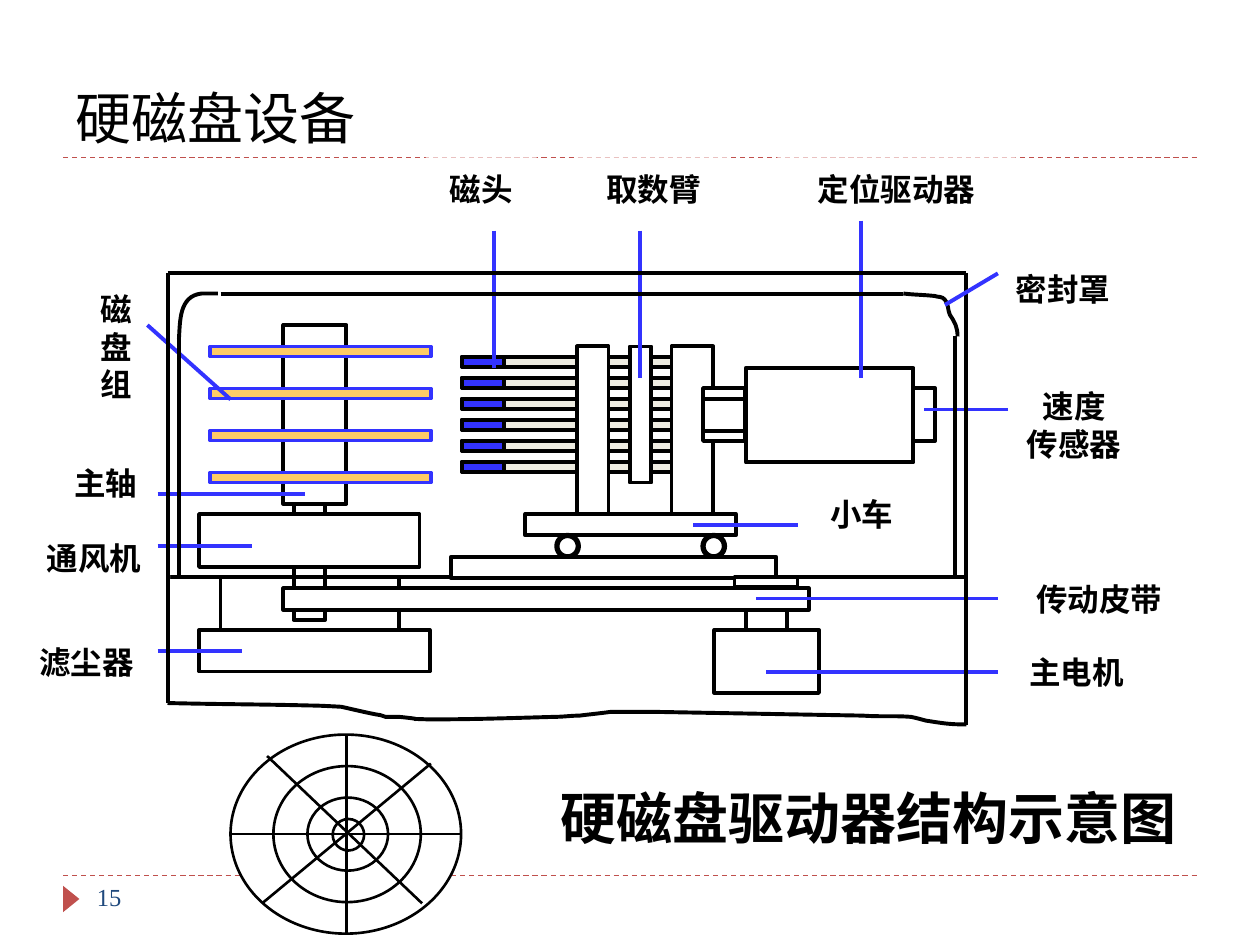
import pptx
import pptx.util
from pptx.dml.color import RGBColor
from pptx.enum.dml import MSO_LINE
from pptx.enum.shapes import MSO_CONNECTOR, MSO_SHAPE
from pptx.enum.text import MSO_ANCHOR, MSO_AUTO_SIZE, PP_ALIGN
from pptx.oxml import parse_xml
from pptx.oxml.ns import nsdecls, qn

BLACK = RGBColor(0x00, 0x00, 0x00)
WHITE = RGBColor(0xFF, 0xFF, 0xFF)
BLUE = RGBColor(0x33, 0x33, 0xFF)
GOLD = RGBColor(0xFF, 0xCC, 0x66)
CREAM = RGBColor(0xEE, 0xEC, 0xE1)
RED = RGBColor(0xC0, 0x50, 0x4D)
NAVY = RGBColor(0x1F, 0x49, 0x7D)

# All positions are in inches: boxes are (left, top, width, height),
# lines are (x1, y1, x2, y2).
TITLE = ("硬磁盘设备", (0.5, 0.17, 9, 1.08))
CAPTION = ("硬磁盘驱动器结构示意图", (4.34, 6.17, 5.11, 0.63))
SLIDE_NUMBER = ("15", (0.67, 6.95, 2.17, 0.4))
RULES = [(0.5, 6.95, 9.5, 6.95), (0.5, 1.25, 9.5, 1.25)]
MARKER = (0.46, 7.07, 0.21, 0.13)

LABELS = [
    ("磁头", (3.38, 1.25, 0.88, 0.5)),
    ("磁\n盘\n组", (0.65, 2.1, 0.54, 1.3)),
    ("主轴", (0.4, 3.58, 0.88, 0.5)),
    ("通风机", (0.14, 4.18, 1.21, 0.5)),
    ("取数臂", (4.58, 1.25, 1.21, 0.5)),
    ("定位驱动器", (6.17, 1.25, 1.89, 0.5)),
    ("速度\n传感器", (7.92, 2.92, 1.21, 0.9)),
    ("小车", (6.4, 3.83, 0.88, 0.5)),
    ("主电机", (7.92, 5.08, 1.25, 0.5)),
    ("传动皮带", (7.95, 4.5, 1.55, 0.5)),
    ("滤尘器", (0.08, 5, 1.21, 0.5)),
    ("密封罩", (7.83, 2.04, 1.21, 0.5)),
]
LEADERS = [
    (3.92, 1.83, 3.92, 2.92), (1.17, 2.58, 1.83, 3.17),
    (1.25, 3.92, 2.42, 3.92), (1.25, 4.33, 2, 4.33),
    (5.08, 1.83, 5.08, 3), (6.83, 1.75, 6.83, 3),
    (8, 3.25, 7.33, 3.25), (5.5, 4.17, 6.33, 4.17),
    (6, 4.75, 7.92, 4.75), (6.08, 5.33, 7.92, 5.33),
    (1.25, 5.17, 1.92, 5.17),
]
COVER_LEADER = (7.92, 2.17, 7.5, 2.42)

SPINDLE = (2.25, 2.58, 0.5, 1.42)
PLATTERS = [(1.67, 2.75 + row / 3, 1.75, 0.08) for row in range(4)]
ARMS = [(3.67, 2.83 + row / 6, 1.83, 0.08) for row in range(6)]
HEADS = [(left, top, 0.33, height) for left, top, _, height in ARMS]
FILTER_POSTS = [(3.17, 4.58, 3.17, 5), (1.75, 4.58, 1.75, 5)]
DRIVE_TRAIN = [
    (2.33, 4, 0.25, 0.92),      # spindle shaft
    (1.58, 4.08, 1.75, 0.42),   # fan
    (1.58, 5, 1.83, 0.33),      # filter
    (5.67, 5, 0.83, 0.5),       # motor
    (5.92, 4.75, 0.33, 0.25),   # motor shaft
    (2.25, 4.67, 4.17, 0.17),   # belt
]
DECK = (1.33, 4.58, 7.67, 4.58)
CART = (4.17, 4.08, 1.67, 0.17)
WHEELS = [(left, 4.25, 0.17, 0.17) for left in (4.42, 5.58)]
POSITIONER = [
    (4.58, 2.75, 0.25, 1.33),   # front upright
    (5.33, 2.75, 0.33, 1.33),   # rear upright
    (5.58, 3.08, 0.33, 0.42),   # coupling
    (5.92, 2.92, 1.33, 0.75),   # positioning drive
    (7.25, 3.08, 0.17, 0.42),   # speed sensor
    (5, 2.75, 0.17, 1.08),      # access arm
    (3.58, 4.42, 2.58, 0.17),   # rail
    (5.83, 4.58, 0.5, 0.08),    # pulley
]
CASE_LINES = [
    (1.42, 2.67, 1.42, 4.58), (7.58, 2.67, 7.58, 4.58), (1.75, 2.33, 7.17, 2.33),
    (1.33, 2.17, 1.33, 5.58), (1.33, 2.17, 7.67, 2.17), (7.67, 2.17, 7.67, 5.75),
    (5.58, 3.17, 5.92, 3.17), (5.58, 3.42, 5.92, 3.42),
]
# Each curve is a start point followed by triples of Bezier points.
CASE_CURVES = [
    [(1.42, 2.69), (1.43, 2.55), (1.42, 2.35), (1.6, 2.33),
     (1.65, 2.33), (1.69, 2.33), (1.73, 2.33)],
    [(7.17, 2.33), (7.25, 2.34), (7.33, 2.34), (7.42, 2.35),
     (7.44, 2.36), (7.48, 2.35), (7.5, 2.38),
     (7.53, 2.41), (7.52, 2.46), (7.54, 2.5),
     (7.58, 2.56), (7.6, 2.6), (7.6, 2.67)],
    [(1.33, 5.58), (1.71, 5.59), (2.08, 5.59), (2.46, 5.6),
     (2.54, 5.6), (2.71, 5.61), (2.71, 5.61),
     (2.8, 5.63), (2.88, 5.65), (2.98, 5.67),
     (3.01, 5.67), (3.03, 5.68), (3.06, 5.69),
     (3.1, 5.69), (3.13, 5.69), (3.17, 5.69),
     (3.46, 5.72), (3.14, 5.7), (3.4, 5.71),
     (3.77, 5.71), (4.04, 5.7), (4.4, 5.69),
     (4.47, 5.69), (4.53, 5.68), (4.6, 5.68),
     (4.68, 5.67), (4.78, 5.66), (4.85, 5.65),
     (4.96, 5.65), (5.06, 5.65), (5.17, 5.65),
     (5.73, 5.66), (6.28, 5.67), (6.85, 5.68),
     (6.98, 5.69), (7.11, 5.68), (7.23, 5.69),
     (7.28, 5.7), (7.31, 5.71), (7.35, 5.72),
     (7.48, 5.74), (7.53, 5.75), (7.67, 5.75)],
]
TRACKS = [(1.83, 5.83, 1.83, 1.58), (2.17, 6.08, 1.17, 1.08),
          (2.44, 6.33, 0.64, 0.58), (2.64, 6.5, 0.25, 0.25)]
SECTOR_LINES = [(2.75, 5.83, 2.75, 7.42), (1.83, 6.62, 3.67, 6.62),
                (3.42, 6.06, 2.08, 7.17), (2.12, 6, 3.35, 7.17)]


def lengths(values):
    """Turn inches into slide lengths."""
    return [pptx.util.Cm(value * 2.54) for value in values]


def add_part(slide, box, kind=MSO_SHAPE.RECTANGLE, fill=WHITE, line=BLACK, width=2.25):
    shape = slide.shapes.add_shape(kind, *lengths(box))
    shape.shadow.inherit = False
    shape.fill.solid()
    shape.fill.fore_color.rgb = fill
    if line is None:
        shape.line.fill.background()
    else:
        shape.line.color.rgb = line
        shape.line.width = pptx.util.Pt(width)
    return shape


def add_line(slide, ends, color=BLACK, width=2.25, dash=None):
    connector = slide.shapes.add_connector(MSO_CONNECTOR.STRAIGHT, *lengths(ends))
    connector.line.color.rgb = color
    connector.line.width = pptx.util.Pt(width)
    if dash:
        connector.line.dash_style = dash
    connector._element.spPr.append(parse_xml(f"<a:effectLst {nsdecls('a')}/>"))


def add_curve(slide, points):
    """Build an outline through the points, then join each three steps into a Bezier curve."""
    start, *rest = [lengths(point) for point in points]
    builder = slide.shapes.build_freeform(*start, scale=1.0)
    builder.add_line_segments(rest, close=False)
    shape = builder.convert_to_shape()
    steps = list(shape._element.iter(qn("a:lnTo")))
    for first in range(0, len(steps), 3):
        curve = parse_xml(f"<a:cubicBezTo {nsdecls('a')}/>")
        steps[first].addprevious(curve)
        for step in steps[first:first + 3]:
            curve.append(step[0])
            step.getparent().remove(step)
    shape.shadow.inherit = False
    shape.fill.background()
    shape.line.color.rgb = BLACK
    shape.line.width = pptx.util.Pt(2.25)


def write_text(slide, text, box, shape=None, size=18, font="Cabin", color=BLACK, bold=True,
               align=PP_ALIGN.CENTER, anchor=MSO_ANCHOR.MIDDLE, wrap=False, fill=WHITE):
    shape = shape or slide.shapes.add_textbox(*lengths(box))
    shape.left, shape.top, shape.width, shape.height = lengths(box)
    if fill is not None:
        shape.fill.solid()
        shape.fill.fore_color.rgb = fill
    frame = shape.text_frame
    frame.text = text
    frame.word_wrap = wrap
    frame.auto_size = MSO_AUTO_SIZE.NONE if wrap else MSO_AUTO_SIZE.SHAPE_TO_FIT_TEXT
    frame.vertical_anchor = anchor
    for paragraph in frame.paragraphs:
        paragraph.alignment = align
        paragraph.font.size = pptx.util.Pt(size)
        paragraph.font.name = font
        paragraph.font.bold = bold
        paragraph.font.color.rgb = color


def main():
    presentation = pptx.Presentation()
    presentation.slide_width, presentation.slide_height = lengths((10, 7.5))
    slide = presentation.slides.add_slide(presentation.slide_layouts[5])

    for rule in RULES:
        add_line(slide, rule, RED, 0.75, MSO_LINE.DASH)
    add_part(slide, MARKER, MSO_SHAPE.ISOSCELES_TRIANGLE, RED, None).rotation = 90
    plain = dict(bold=False, align=PP_ALIGN.LEFT, wrap=True, fill=None)
    write_text(slide, *TITLE, shape=slide.shapes.title, size=32,
               anchor=MSO_ANCHOR.BOTTOM, **plain)
    write_text(slide, *SLIDE_NUMBER, size=14, font="Times New Roman", color=NAVY,
               anchor=MSO_ANCHOR.TOP, **plain)

    for post in FILTER_POSTS:
        add_line(slide, post)
    add_part(slide, SPINDLE)
    for platter in PLATTERS:
        add_part(slide, platter, fill=GOLD, line=BLUE)
    for part in DRIVE_TRAIN:
        add_part(slide, part)
    add_line(slide, DECK)
    add_part(slide, CART)
    for wheel in WHEELS:
        add_part(slide, wheel, MSO_SHAPE.OVAL, width=3)
    for arm, head in zip(ARMS, HEADS):
        add_part(slide, arm, fill=CREAM)
        add_part(slide, head, fill=BLUE)
    for part in POSITIONER:
        add_part(slide, part)

    for text, box in LABELS:
        write_text(slide, text, box)
    for leader in LEADERS:
        add_line(slide, leader, BLUE)
    for case_line in CASE_LINES:
        add_line(slide, case_line)
    for curve in CASE_CURVES:
        add_curve(slide, curve)
    add_line(slide, COVER_LEADER, BLUE)

    write_text(slide, *CAPTION, size=32)
    for track in TRACKS:
        add_part(slide, track, MSO_SHAPE.OVAL, width=1.5)
    for sector_line in SECTOR_LINES:
        add_line(slide, sector_line, width=1.5)
    presentation.save("out.pptx")


if __name__ == "__main__":
    main()
